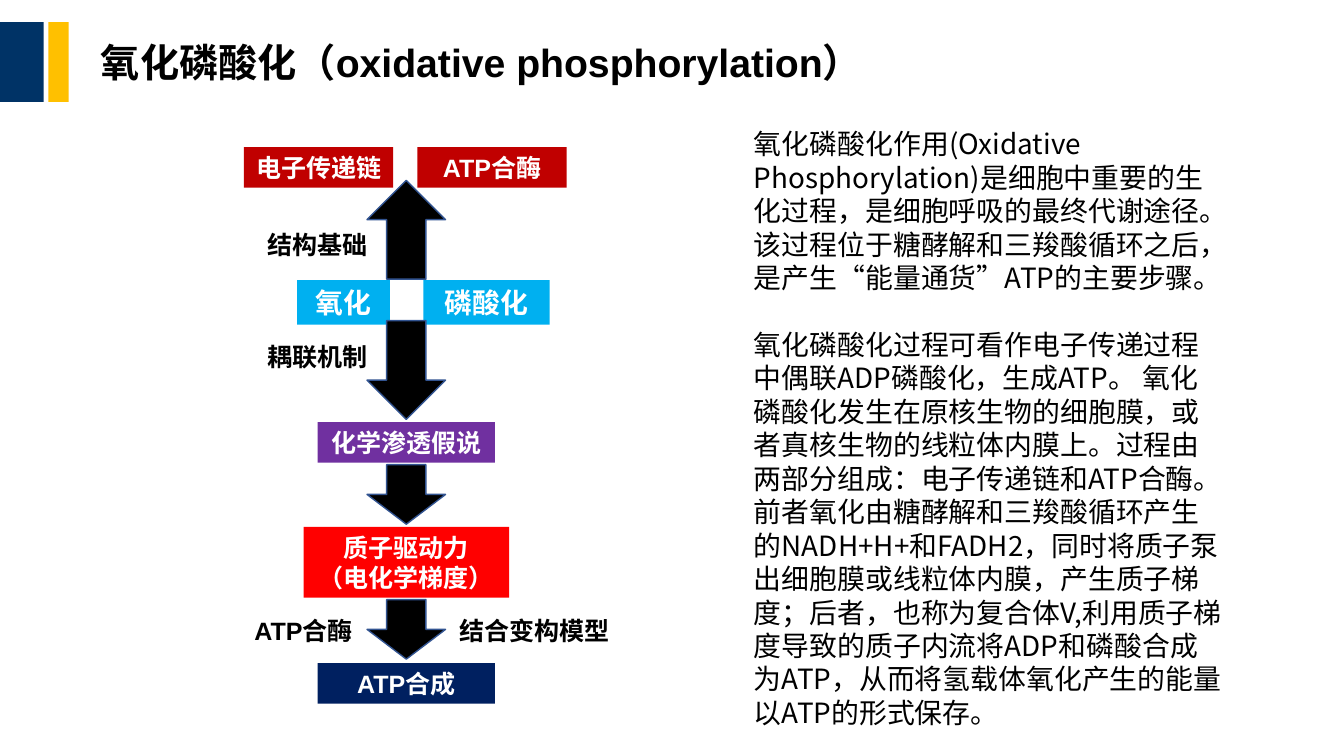
from lxml.etree import SubElement
from pptx import Presentation
from pptx.dml.color import RGBColor
from pptx.enum.shapes import MSO_SHAPE
from pptx.enum.text import MSO_ANCHOR, MSO_AUTO_SIZE, PP_ALIGN
from pptx.oxml.ns import qn
from pptx.util import Cm, Pt

BLACK = RGBColor(0x00, 0x00, 0x00)
WHITE = RGBColor(0xFF, 0xFF, 0xFF)
NAVY = RGBColor(0x00, 0x33, 0x66)
GOLD = RGBColor(0xFF, 0xC0, 0x00)
SKY = RGBColor(0x00, 0xB0, 0xF0)
CRIMSON = RGBColor(0xC0, 0x00, 0x00)
PURPLE = RGBColor(0x70, 0x30, 0xA0)
RED = RGBColor(0xFF, 0x00, 0x00)
DEEP_BLUE = RGBColor(0x00, 0x20, 0x60)
ARROW_EDGE = RGBColor(0x32, 0x54, 0x91)

AXIS = 10.24
ROW = 1.02
EAST_ASIAN_FONT = "Noto Sans CJK SC"


class FlowSlide:
    """Hold the text style and the current slide, and add its elements."""

    def __init__(self, presentation):
        """Add a title-only slide to the presentation."""
        self.slide = presentation.slides.add_slide(presentation.slide_layouts[5])
        self.style = {"name": "Arial", "size": Pt(17.9), "bold": True}

    def fill_text(self, shape, lines, color, align, anchor=MSO_ANCHOR.MIDDLE, gap=0, **changes):
        """Set one paragraph per line, at 1.2 times the font size."""
        style = {**self.style, **changes}
        frame = shape.text_frame
        frame.auto_size = MSO_AUTO_SIZE.NONE
        frame.word_wrap = True
        frame.vertical_anchor = anchor
        frame.text = "\n".join(lines)
        for index, paragraph in enumerate(frame.paragraphs):
            paragraph.alignment = align
            paragraph.line_spacing = Pt(round(style["size"].pt * 1.2, 1))
            paragraph.space_before = Pt(gap if index else 0)
            for run in paragraph.runs:
                for attribute, value in style.items():
                    setattr(run.font, attribute, value)
                run.font.color.rgb = color
                properties = run.font._element
                SubElement(properties, qn("a:ea"), typeface=EAST_ASIAN_FONT)

    def title(self, text, left, top, width, height):
        """Place and fill the title placeholder."""
        title = self.slide.shapes.title
        place = {"left": left, "top": top, "width": width, "height": height}
        for attribute, value in place.items():
            setattr(title, attribute, Cm(value))
        self.fill_text(title, [text], BLACK, PP_ALIGN.LEFT, size=Pt(28))

    def shape(self, kind, left, top, width, height, fill, edge=None):
        """Add a flat filled shape, outlined if an edge colour is given."""
        shape = self.slide.shapes.add_shape(kind, Cm(left), Cm(top), Cm(width), Cm(height))
        shape.shadow.inherit = False
        shape.fill.solid()
        shape.fill.fore_color.rgb = fill
        if edge is None:
            shape.line.fill.background()
        else:
            shape.line.color.rgb = edge
            shape.line.width = Pt(1)
        return shape

    def box(self, lines, left, top, width, height, fill, size=17.9):
        """Add a coloured box with white centred text."""
        box = self.shape(MSO_SHAPE.RECTANGLE, left, top, width, height, fill)
        self.fill_text(box, lines, WHITE, PP_ALIGN.CENTER, size=Pt(size))

    def axis_box(self, lines, top, width, height, fill):
        """Add a box centred on the flow axis."""
        self.box(lines, AXIS - width / 2, top, width, height, fill)

    def arrow(self, kind, top, width, height, rotation=0):
        """Add a black block arrow centred on the flow axis."""
        arrow = self.shape(kind, AXIS - width / 2, top, width, height, BLACK, ARROW_EDGE)
        arrow.rotation = rotation

    def text_box(self, left, top, width, height):
        """Add an empty text box."""
        return self.slide.shapes.add_textbox(Cm(left), Cm(top), Cm(width), Cm(height))

    def label(self, text, left, top, width):
        """Add a black centred label beside an arrow."""
        self.fill_text(self.text_box(left, top, width, ROW), [text], BLACK, PP_ALIGN.CENTER)

    def prose(self, paragraphs, left, top, width, height):
        """Add running text with one line of space between paragraphs."""
        self.fill_text(self.text_box(left, top, width, height), paragraphs, BLACK,
                       PP_ALIGN.LEFT, MSO_ANCHOR.TOP, gap=23.9,
                       name=EAST_ASIAN_FONT, size=Pt(19.9), bold=False)


def main():
    """Build the slide and save it."""
    presentation = Presentation()
    presentation.slide_width = Cm(33.87)
    presentation.slide_height = Cm(19.05)
    flow = FlowSlide(presentation)

    for left, width, fill in ((0, 1.1, NAVY), (1.22, 0.51, GOLD)):
        flow.shape(MSO_SHAPE.RECTANGLE, left, 0.56, width, 2.01, fill)
    flow.title("氧化磷酸化（oxidative phosphorylation）", 2.29, 0.56, 30.73, 2.01)

    for text, left, width in (("氧化", 7.49, 2.34), ("磷酸化", 10.67, 3.18)):
        flow.box([text], left, 7.06, width, 1.12, SKY, size=19.9)
    for text, left in (("电子传递链", 6.15), ("ATP合酶", 10.52)):
        flow.box([text], left, 3.71, 3.76, ROW, CRIMSON)
    for lines, top, width, height, fill in (
        (["化学渗透假说"], 10.64, 4.47, ROW, PURPLE),
        (["质子驱动力", "（电化学梯度）"], 13.28, 5.18, 1.78, RED),
        (["ATP合成"], 16.71, 4.47, ROW, DEEP_BLUE),
    ):
        flow.axis_box(lines, top, width, height, fill)

    flow.arrow(MSO_SHAPE.RIGHT_ARROW, 4.8, 2.49, 1.98, rotation=270)
    for top, height in ((8.08, 2.49), (11.71, 1.5), (15.11, 1.5)):
        flow.arrow(MSO_SHAPE.DOWN_ARROW, top, 1.98, height)

    for text, left, top, width in (
        ("结构基础", 5.77, 5.66, 4.47),
        ("耦联机制", 6.12, 8.48, 3.76),
        ("ATP合酶", 5.77, 15.37, 3.76),
        ("结合变构模型", 11.23, 15.37, 4.47),
    ):
        flow.label(text, left, top, width)

    flow.prose([
        "氧化磷酸化作用(Oxidative Phosphorylation)是细胞中重要的生化过程，"
        "是细胞呼吸的最终代谢途径。该过程位于糖酵解和三羧酸循环之后，"
        "是产生“能量通货”ATP的主要步骤。",
        "氧化磷酸化过程可看作电子传递过程中偶联ADP磷酸化，生成ATP。 "
        "氧化磷酸化发生在原核生物的细胞膜，或者真核生物的线粒体内膜上。"
        "过程由两部分组成：电子传递链和ATP合酶。"
        "前者氧化由糖酵解和三羧酸循环产生的NADH+H+和FADH2，"
        "同时将质子泵出细胞膜或线粒体内膜，产生质子梯度；"
        "后者，也称为复合体V,利用质子梯度导致的质子内流将ADP和磷酸合成为ATP，"
        "从而将氢载体氧化产生的能量以ATP的形式保存。",
    ], 18.75, 3.07, 12.32, 15.57)

    presentation.save("out.pptx")


if __name__ == "__main__":
    main()
